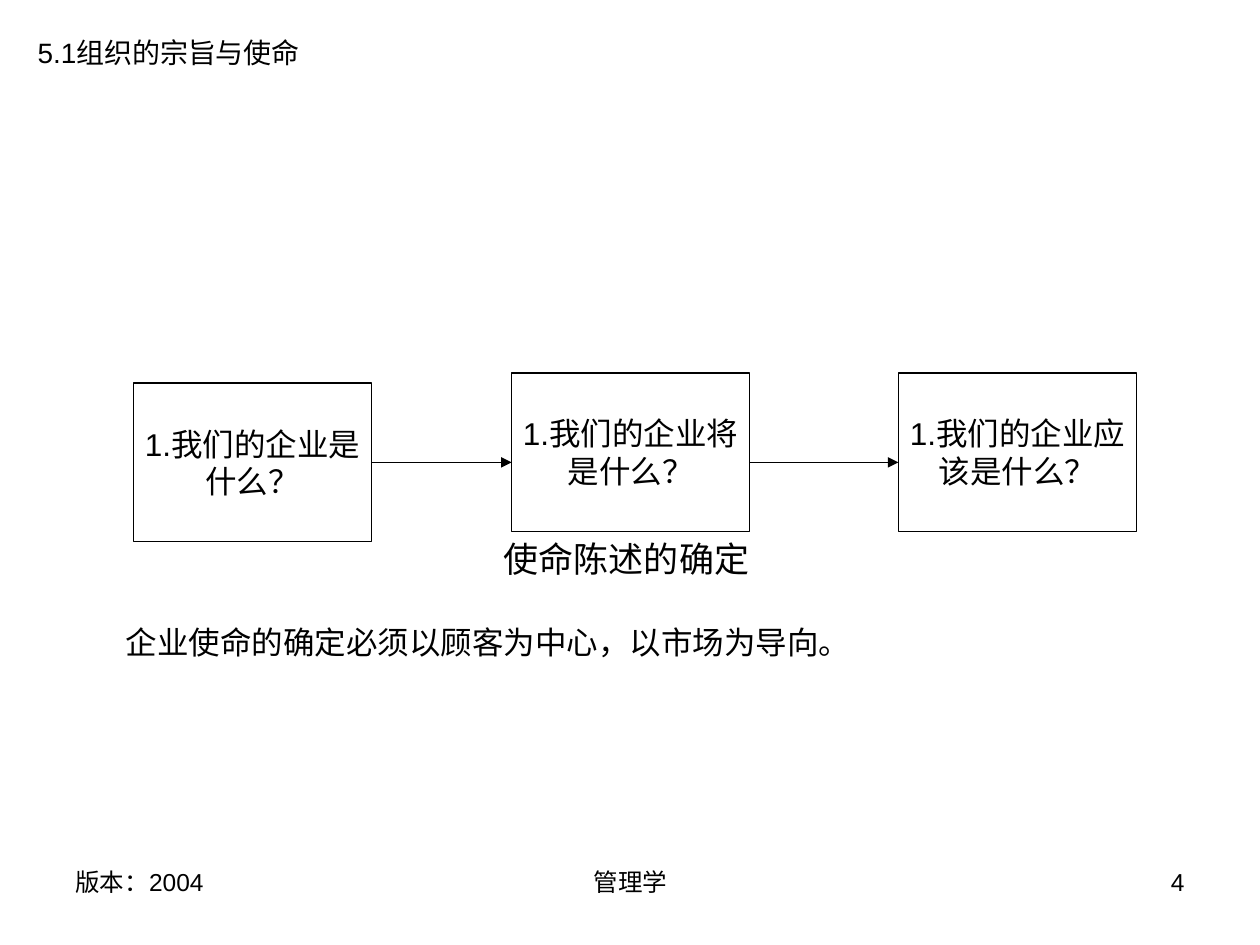
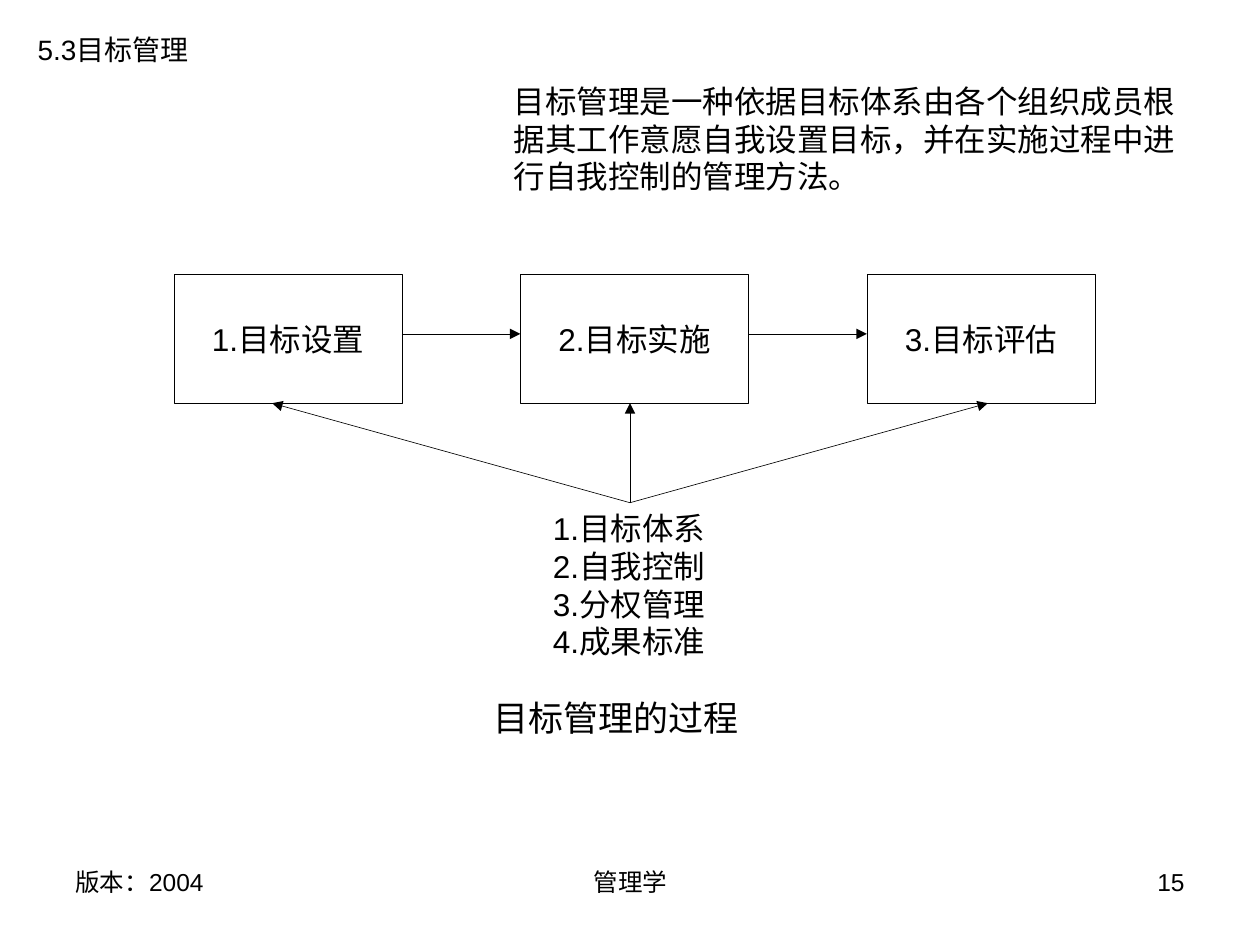
from lxml.etree import SubElement
from pptx import Presentation
from pptx.dml.color import RGBColor
from pptx.enum.shapes import MSO_CONNECTOR, MSO_SHAPE
from pptx.enum.text import MSO_ANCHOR, MSO_AUTO_SIZE, PP_ALIGN
from pptx.oxml.ns import qn
from pptx.util import Inches, Pt

COLORS = {"ink": "000000", "paper": "FFFFFF"}
FONT = "Arial"
HEAD, BODY, TITLE, FOOT = 16, 18, 20, 14


def color(name):
    return RGBColor.from_string(COLORS[name])


def write(frame, text, size, align=PP_ALIGN.LEFT, wrap=True):
    """Fill a text frame, one paragraph per line of text."""
    frame.text = text
    frame.word_wrap = wrap
    for para in frame.paragraphs:
        para.alignment = align
        para.font.name = FONT
        para.font.size = Pt(size)
        para.font.color.rgb = color("ink")


def label(slide, box, text, size, align=PP_ALIGN.LEFT, grow=True):
    frame = slide.shapes.add_textbox(*map(Inches, box)).text_frame
    write(frame, text, size, align)
    if grow:
        frame.auto_size = MSO_AUTO_SIZE.SHAPE_TO_FIT_TEXT
    return frame


def step(slide, box, text, weight):
    """Draw one outlined box of a process."""
    rect = slide.shapes.add_shape(MSO_SHAPE.RECTANGLE, *map(Inches, box))
    rect.shadow.inherit = False
    rect.fill.solid()
    rect.fill.fore_color.rgb = color("paper")
    rect.line.color.rgb = color("ink")
    rect.line.width = Pt(weight)
    rect.text_frame.vertical_anchor = MSO_ANCHOR.MIDDLE
    write(rect.text_frame, text, BODY, PP_ALIGN.CENTER, wrap=False)
    return rect


def arrow(slide, start, end, weight):
    line = slide.shapes.add_connector(
        MSO_CONNECTOR.STRAIGHT, *map(Inches, start + end))
    line.line.color.rgb = color("ink")
    line.line.width = Pt(weight)
    SubElement(line.line._get_or_add_ln(), qn("a:tailEnd"), type="triangle")
    SubElement(line._element.spPr, qn("a:effectLst"))
    return line


def chain(slide, boxes, texts, level, weight):
    """Draw steps from left to right with arrows at one height."""
    steps = [step(slide, box, text, weight) for box, text in zip(boxes, texts)]
    links = [arrow(slide, (a[0] + a[2], level), (b[0], level), weight)
             for a, b in zip(boxes, boxes[1:])]
    return steps, links


def fan(slide, root, spread, rise, weight):
    """Draw three arrows that rise from one point."""
    x, y = root
    for shift in (-spread, spread, 0):
        arrow(slide, root, (x + shift, y - rise), weight)


def footer(slide, page):
    top, high = 6.83, 0.52
    parts = (
        (0.5, 2.33, "版本：2004", PP_ALIGN.LEFT),
        (3.42, 3.17, "管理学", PP_ALIGN.CENTER),
        (7.17, 2.33, str(page), PP_ALIGN.RIGHT),
    )
    for left, wide, text, align in parts:
        label(slide, (left, top, wide, high), text, FOOT, align, grow=False)


def start(deck, page, head, box):
    """Add a slide with its footer and section heading."""
    slide = deck.slides.add_slide(deck.slide_layouts[6])
    footer(slide, page)
    label(slide, box, head, HEAD)
    return slide


def mission(deck):
    slide = start(deck, 4, "5.1组织的宗旨与使命", (0.2, 0.23, 2.29, 0.37))
    label(slide, (3.9, 4.22, 2.28, 0.43), "使命陈述的确定", TITLE)
    wide, high = 1.89, 1.26
    spots = ((1.06, 3.04), (4.06, 2.96), (7.13, 2.96))
    boxes = [(x, y, wide, high) for x, y in spots]
    texts = ("1.我们的企业是\n什么？", "1.我们的企业将\n是什么？",
             "1.我们的企业应\n该是什么？")
    steps, links = chain(slide, boxes, texts, 3.67, 0.75)
    links[0].begin_connect(steps[0], 3)
    note = label(slide, (0.9, 4.93, 6.06, 0.37),
                 "企业使命的确定必须以顾客为中心，以市场为导向。", BODY)
    note.paragraphs[0].line_spacing = 0.9


def process(deck):
    slide = start(deck, 15, "5.3目标管理", (0.2, 0.21, 1.5, 0.37))
    label(slide, (3.98, 0.6, 5.51, 1),
          "目标管理是一种依据目标体系由各个组织成员根据其工作意愿"
          "自我设置目标，并在实施过程中进行自我控制的管理方法。", BODY)
    left, top, wide, high, pitch = 1.38, 2.18, 1.81, 1.02, 2.75
    thin = 0.37
    boxes = [(left + i * pitch, top, wide, high) for i in range(3)]
    chain(slide, boxes, ("1.目标设置", "2.目标实施", "3.目标评估"), 2.65, thin)
    root = (5, 3.99)
    fan(slide, root, 2.84, root[1] - top - high, thin)
    label(slide, (4.29, root[1], 1.49, 1.3),
          "1.目标体系\n2.自我控制\n3.分权管理\n4.成果标准", BODY)
    label(slide, (3.82, 5.48, 2.2, 0.43), "目标管理的过程", TITLE)


def main():
    deck = Presentation()
    deck.slide_width, deck.slide_height = Inches(10), Inches(7.5)
    mission(deck)
    process(deck)
    deck.save("out.pptx")


if __name__ == "__main__":
    main()
